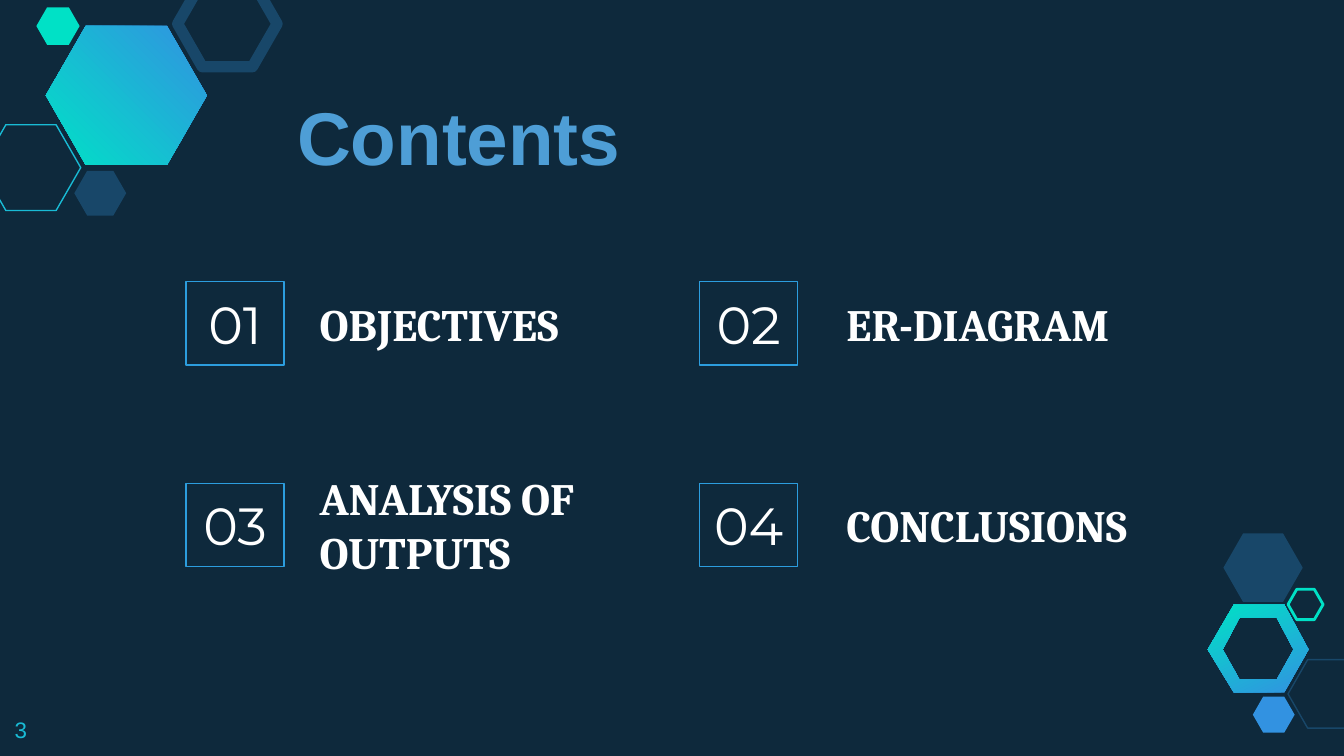
"""Build the contents slide: four numbered topics among hexagon ornaments."""
from dataclasses import dataclass

from pptx import Presentation
from pptx.dml.color import RGBColor
from pptx.enum.shapes import MSO_SHAPE
from pptx.enum.text import MSO_ANCHOR, MSO_AUTO_SIZE, PP_ALIGN
from pptx.util import Pt


@dataclass(frozen=True)
class Theme:
    background: str = "0E293C"
    title: str = "4E9ED6"
    text: str = "FFFFFF"
    frame: str = "2C9DDE"
    cyan: str = "19BBD5"
    navy: str = "184769"
    mint: str = "00E1C6"
    azure: str = "3292E1"
    title_size: int = 40
    number_size: int = 28
    label_size: int = 24
    page_size: int = 12


def write(box, text, font, size, color, bold=False, align=PP_ALIGN.LEFT, anchor=MSO_ANCHOR.MIDDLE):
    frame = box.text_frame
    frame.word_wrap = True
    frame.auto_size = MSO_AUTO_SIZE.NONE
    frame.vertical_anchor = anchor
    frame.margin_left = frame.margin_right = frame.margin_top = frame.margin_bottom = Pt(7.2)
    frame.text = text
    para = frame.paragraphs[0]
    para.alignment = align
    span = para.runs[0]
    span.font.name = font
    span.font.size = Pt(size)
    span.font.bold = bold
    span.font.color.rgb = RGBColor.from_string(color)


def paint(shape, fill=None, line=None, width=0, angle=None):
    shape.shadow.inherit = False
    if angle is not None:
        shape.fill.gradient()
        shape.fill.gradient_angle = angle
        for stop, color in zip(shape.fill.gradient_stops, (theme.azure, theme.mint)):
            stop.color.rgb = RGBColor.from_string(color)
    elif fill:
        shape.fill.solid()
        shape.fill.fore_color.rgb = RGBColor.from_string(fill)
    else:
        shape.fill.background()
    if line:
        shape.line.color.rgb = RGBColor.from_string(line)
        shape.line.width = Pt(width)
    else:
        shape.line.fill.background()


theme = Theme()
deck = Presentation()
deck.slide_width, deck.slide_height = Pt(720), Pt(405)
page = deck.slides.add_slide(deck.slide_layouts[5])
page.background.fill.solid()
page.background.fill.fore_color.rgb = RGBColor.from_string(theme.background)

ring_contours = []
for left, top, right, bottom, corner in ((647.2, 324.4, 701.2, 371.4, 13.5), (655, 331.4, 693.4, 364.4, 9.4)):
    middle = (top + bottom) / 2
    ring_contours.append([
        (left + corner, bottom), (left, middle), (left + corner, top),
        (right - corner, top), (right, middle), (right - corner, bottom),
    ])
outer, inner = ring_contours
builder = page.shapes.build_freeform(*outer[0], scale=Pt(1))
builder.add_line_segments(outer[1:], close=True)
builder.move_to(*inner[0])
builder.add_line_segments(inner[:0:-1], close=True)
paint(builder.convert_to_shape(), angle=116)

hexagons = [
    (24.6, 13.9, 86.3, 74.5, dict(angle=225)),
    (-10, 66.8, 53.3, 46, dict(line=theme.cyan, width=0.75)),
    (39.8, 91.5, 27.8, 24, dict(fill=theme.navy)),
    (95.2, -10.2, 53.3, 46, dict(line=theme.navy, width=6)),
    (19.5, 3.9, 23.2, 20.1, dict(fill=theme.mint)),
    (690, 353.4, 42.5, 36.7, dict(line=theme.navy, width=0.75)),
    (671.2, 373.2, 22.4, 19.4, dict(fill=theme.azure)),
    (655.4, 285.8, 42.5, 36.7, dict(fill=theme.navy)),
    (690, 315.7, 18.8, 16.3, dict(line=theme.mint, width=1.5)),
]
for left, top, width, height, style in hexagons:
    hexagon = page.shapes.add_shape(MSO_SHAPE.HEXAGON, Pt(left), Pt(top), Pt(width), Pt(height))
    hexagon.adjustments[0] = 0.287
    paint(hexagon, **style)

page_number = page.shapes.add_textbox(Pt(0.7), Pt(376.6), Pt(43), Pt(28))
write(page_number, "3", "Arial", theme.page_size, theme.cyan, anchor=MSO_ANCHOR.TOP)

title = page.shapes.title
title.left, title.top, title.width, title.height = Pt(152), Pt(36.7), Pt(239), Pt(67)
write(title, "Contents", "Arial", theme.title_size, theme.title, bold=True, anchor=MSO_ANCHOR.BOTTOM)

topics = ["OBJECTIVES", "ER-DIAGRAM", "ANALYSIS OF OUTPUTS", "CONCLUSIONS"]
columns = [(99.6, 164.2), (374.8, 446.4)]
label_height = 59
for index, topic in enumerate(topics):
    row, column = divmod(index, 2)
    number_left, label_left = columns[column]
    center = 173.2 + 108 * row
    number = page.shapes.add_shape(MSO_SHAPE.RECTANGLE, Pt(number_left), Pt(center - 22.3), Pt(52.6), Pt(44.6))
    paint(number, line=theme.frame, width=0.75)
    write(number, f"{index + 1:02}", "Montserrat", theme.number_size, theme.text, align=PP_ALIGN.CENTER)
    label = page.shapes.add_textbox(Pt(label_left), Pt(center - label_height / 2), Pt(191.5), Pt(label_height))
    write(label, topic, "Cambria", theme.label_size, theme.text, bold=True)

deck.save("out.pptx")
